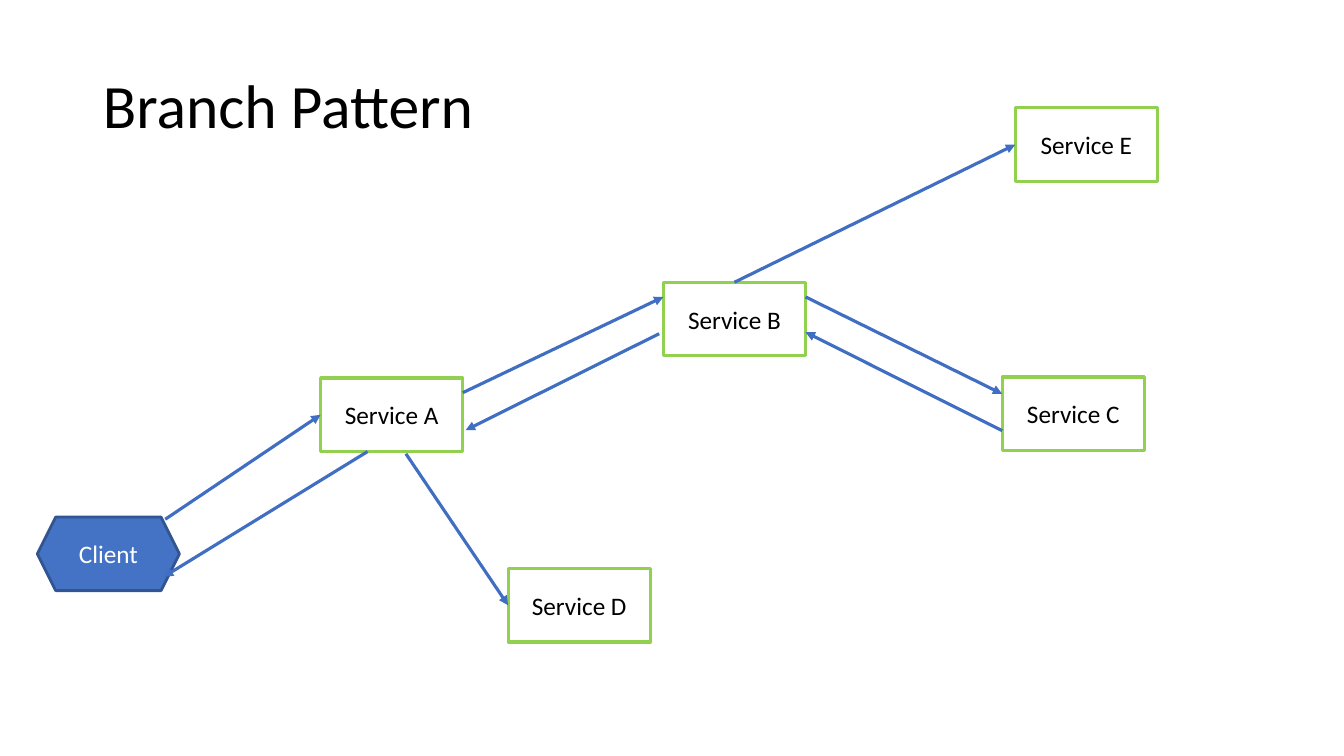
from lxml import etree
from pptx import Presentation
from pptx.dml.color import RGBColor
from pptx.enum.shapes import MSO_CONNECTOR, MSO_SHAPE
from pptx.enum.text import MSO_ANCHOR, MSO_AUTO_SIZE, PP_ALIGN
from pptx.oxml.ns import qn
from pptx.util import Inches, Pt

RECTANGLE, HEXAGON = MSO_SHAPE.RECTANGLE, MSO_SHAPE.HEXAGON
STRAIGHT = MSO_CONNECTOR.STRAIGHT
LEFT, CENTER = PP_ALIGN.LEFT, PP_ALIGN.CENTER
MIDDLE = MSO_ANCHOR.MIDDLE
NO_AUTOFIT = MSO_AUTO_SIZE.NONE

FONT = "Calibri"
NODE_WIDTH, NODE_HEIGHT = 1.41, 0.73

# Top left corner of each node, in inches
CLIENT = (0.37, 5.13)
SERVICES = {
    "Service A": (3.18, 3.75),
    "Service B": (6.58, 2.8),
    "Service C": (9.94, 3.74),
    "Service D": (5.04, 5.64),
    "Service E": (10.07, 1.07),
}
NODES = {"Client": CLIENT, **SERVICES}

# Each end is a node and a point given as shares of its width and height
CALLS = [
    (("Client", 0.9, 0.03), ("Service A", 0, 0.5)),
    (("Service A", 0.33, 1), ("Client", 0.89, 0.81)),
    (("Service A", 1, 0.2), ("Service B", 0, 0.2)),
    (("Service B", -0.03, 0.7), ("Service A", 1.02, 0.71)),
    (("Service B", 1, 0.2), ("Service C", 0, 0.23)),
    (("Service C", 0, 0.73), ("Service B", 1, 0.68)),
    (("Service A", 0.6, 1.03), ("Service D", 0, 0.5)),
    (("Service B", 0.5, 0), ("Service E", 0, 0.5)),
]


def color(hex_string):
    return RGBColor.from_string(hex_string)


def write_text(shape, text, size, font_color, alignment):
    text_frame = shape.text_frame
    text_frame.text = text
    text_frame.word_wrap = True
    text_frame.auto_size = NO_AUTOFIT
    text_frame.vertical_anchor = MIDDLE
    paragraph = text_frame.paragraphs[0]
    paragraph.alignment = alignment
    font = paragraph.runs[0].font
    font.name = FONT
    font.size = Pt(size)
    font.color.rgb = color(font_color)
    return paragraph


def set_title(slide, text):
    title = slide.shapes.title
    title.left, title.top = Inches(0.92), Inches(0.35)
    title.width, title.height = Inches(11.5), Inches(1.45)
    paragraph = write_text(title, text, 44, "000000", LEFT)
    paragraph.line_spacing = 0.9


def add_node(slide, name, kind, fill, line, line_width, font_color):
    left, top = NODES[name]
    shape = slide.shapes.add_shape(kind, Inches(left), Inches(top),
                                   Inches(NODE_WIDTH), Inches(NODE_HEIGHT))
    shape.shadow.inherit = False
    shape.fill.solid()
    shape.fill.fore_color.rgb = color(fill)
    shape.line.color.rgb = color(line)
    shape.line.width = Pt(line_width)
    write_text(shape, name, 18, font_color, CENTER)


def node_point(name, across, down):
    left, top = NODES[name]
    return Inches(left + across * NODE_WIDTH), Inches(top + down * NODE_HEIGHT)


def add_arrow(slide, start, end):
    connector = slide.shapes.add_connector(STRAIGHT, *node_point(*start), *node_point(*end))
    connector.line.color.rgb = color("3F6EC2")
    connector.line.width = Pt(2.25)
    outline = connector.line._get_or_add_ln()
    etree.SubElement(outline, qn("a:tailEnd"), type="triangle")
    etree.SubElement(connector._element.spPr, qn("a:effectLst"))


def main():
    presentation = Presentation()
    presentation.slide_width = Inches(13.33)
    presentation.slide_height = Inches(7.5)
    title_only = presentation.slide_layouts[5]
    slide = presentation.slides.add_slide(title_only)

    set_title(slide, "Branch Pattern")
    add_node(slide, "Client", HEXAGON, "4472C4", "325491", 2, "FFFFFF")
    for name in SERVICES:
        add_node(slide, name, RECTANGLE, "FFFFFF", "92D050", 2.25, "000000")
    for start, end in CALLS:
        add_arrow(slide, start, end)

    presentation.save("out.pptx")


if __name__ == "__main__":
    main()
